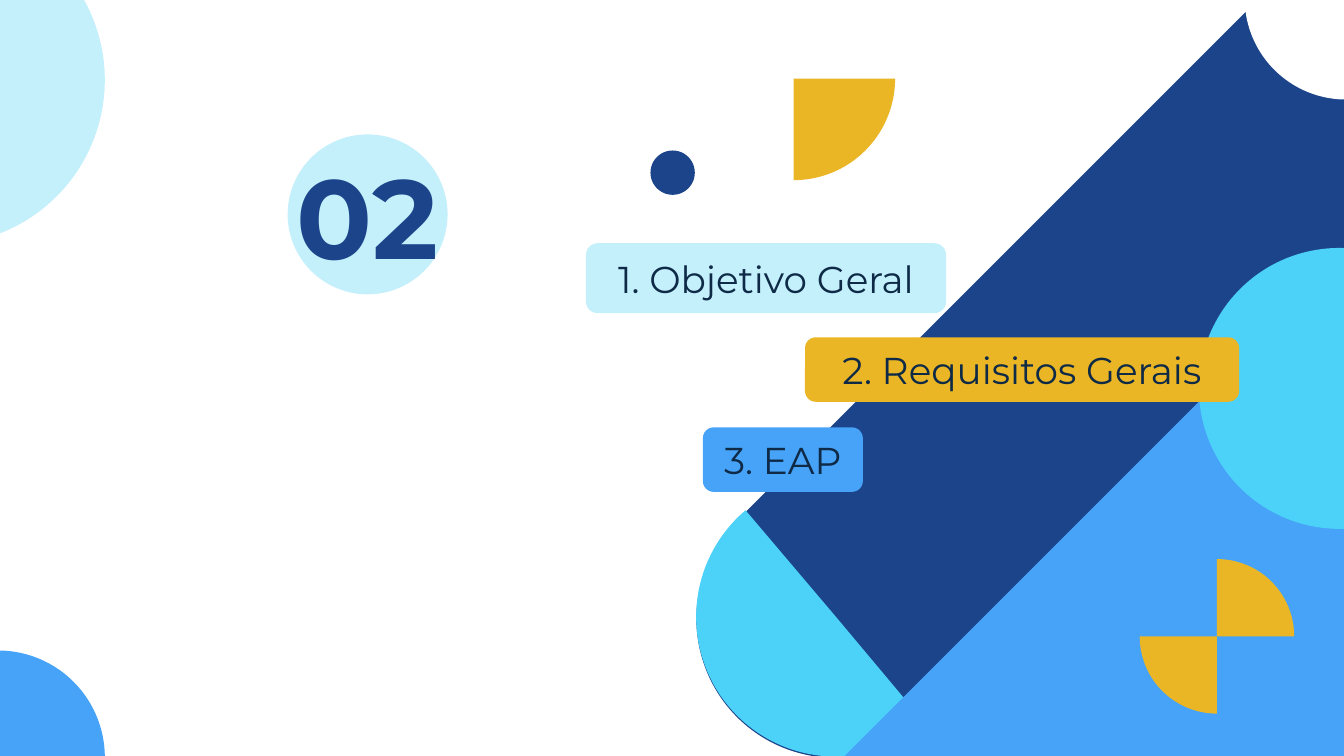
"""Build a section slide with a number, three labels and geometric decoration."""
import pptx
import pptx.util
import pptx.dml.color
import pptx.enum.shapes
import pptx.enum.text
import pptx.oxml
import pptx.oxml.ns

KIND = pptx.enum.shapes.MSO_SHAPE
HUES = {"navy": "1C448A", "cyan": "4CD2F8", "blue": "47A3F7",
        "gold": "EAB625", "white": "FFFFFF", "ink": "0E2A47"}
HALF, QUARTER = (108, 215.8), (108, 162)


class Deck:
    """Hold the style and the current slide, on a grid of 100 columns of square cells."""

    def __init__(self, wide, high, font):
        """Start a deck with one title-only slide."""
        self.file = pptx.Presentation()
        self.file.slide_width = pptx.util.Inches(wide)
        self.file.slide_height = pptx.util.Inches(high)
        self.cell = self.file.slide_width / 100
        self.font = font
        self.slide = self.file.slides.add_slide(self.file.slide_layouts[5])

    def span(self, *cells):
        """Turn grid cells into lengths."""
        return [pptx.util.Emu(round(n * self.cell)) for n in cells]

    def hue(self, name):
        """Give the colour of a name."""
        return pptx.dml.color.RGBColor.from_string(HUES[name])

    def shape(self, kind, box, hue, turn=0, flip=False, adj=(), alpha=None, home=None):
        """Add a plain filled shape, to a group if one is given."""
        item = (home or self.slide).shapes.add_shape(kind, *self.span(*box))
        item.shadow.inherit = False
        item.line.fill.background()
        item.fill.solid()
        item.fill.fore_color.rgb = self.hue(hue)
        item.rotation = turn
        for i, value in enumerate(adj):
            item.adjustments[i] = value
        props = item._element.spPr
        if flip:
            props.xfrm.set("flipH", "1")
        if alpha:
            tint = props.find(".//" + pptx.oxml.ns.qn("a:srgbClr"))
            tint.append(pptx.oxml.parse_xml(
                f'<a:alpha {pptx.oxml.ns.nsdecls("a")} val="{alpha * 1000}"/>'))
        return item

    def disc(self, left, top, size, hue, **look):
        """Add a circle."""
        return self.shape(KIND.OVAL, (left, top, size, size), hue, **look)

    def pie(self, left, top, size, hue, adj=QUARTER, **look):
        """Add a slice of a circle."""
        return self.shape(KIND.PIE, (left, top, size, size), hue, adj=adj, **look)

    def text(self, item, words, size, hue, bold=False):
        """Set one centred line in a shape."""
        frame = item.text_frame
        frame.text = words
        frame.word_wrap = True
        frame.auto_size = pptx.enum.text.MSO_AUTO_SIZE.NONE
        frame.vertical_anchor = pptx.enum.text.MSO_ANCHOR.MIDDLE
        frame.margin_left = frame.margin_right = pptx.util.Inches(0.1)
        frame.margin_top = frame.margin_bottom = pptx.util.Inches(0.1)
        line = frame.paragraphs[0]
        line.alignment = pptx.enum.text.PP_ALIGN.CENTER
        line.font.name = self.font
        line.font.size = pptx.util.Pt(size)
        line.font.bold = bold
        line.font.color.rgb = self.hue(hue)

    def title(self, words, box):
        """Place the title in front of what is already drawn."""
        item = self.slide.shapes.title
        item.left, item.top, item.width, item.height = self.span(*box)
        self.slide.shapes._spTree.append(item._element)
        self.text(item, words, 60, "navy", True)

    def label(self, words, box, hue, alpha=None):
        """Add a rounded label."""
        item = self.shape(KIND.ROUNDED_RECTANGLE, box, hue, adj=(0.167,), alpha=alpha)
        self.text(item, words, 20, "ink")

    def wheel(self, left, top, size, hue):
        """Add a group of two opposite quarter circles."""
        home = self.slide.shapes.add_group_shape()
        self.pie(left, top, size, hue, turn=270, home=home)
        self.pie(left, top, size, hue, flip=True, home=home)


def main():
    """Draw the slide and save it."""
    deck = Deck(10, 5.625, "Montserrat")
    deck.shape(KIND.ROUND_2_SAME_RECTANGLE, (69.7, -7.5, 20.7, 71.3), "navy",
               turn=225, adj=(0.5, 0))
    deck.pie(51.8, 35.5, 20.8, "cyan", adj=HALF, turn=229.7, flip=True)
    deck.shape(KIND.RIGHT_TRIANGLE, (62.8, 19.1, 37.2, 37.2), "blue", flip=True)
    deck.disc(89.2, 18.45, 20.9, "cyan")
    deck.pie(92.6, -7.7, 15.1, "white", turn=180, flip=True)
    deck.pie(-8.1, 48.4, 15.9, "blue", flip=True)
    deck.disc(-16.7, -6.3, 24.5, "cyan", alpha=33)

    deck.disc(21.4, 10, 11.9, "cyan", alpha=33)
    deck.title("02", (20.9, 11.2, 12.9, 9.5))

    deck.wheel(84.8, 41.6, 11.5, "gold")
    deck.pie(51.5, -1.7, 15.1, "gold", turn=180)
    deck.disc(48.4, 11.2, 3.3, "navy")

    deck.label("1. Objetivo Geral", (43.6, 18.1, 26.8, 5.2), "cyan", 33)
    deck.label("2. Requisitos Gerais", (59.9, 25.1, 32.3, 4.8), "gold")
    deck.label("3. EAP", (52.3, 31.8, 11.9, 4.8), "blue")
    deck.file.save("out.pptx")


if __name__ == "__main__":
    main()
